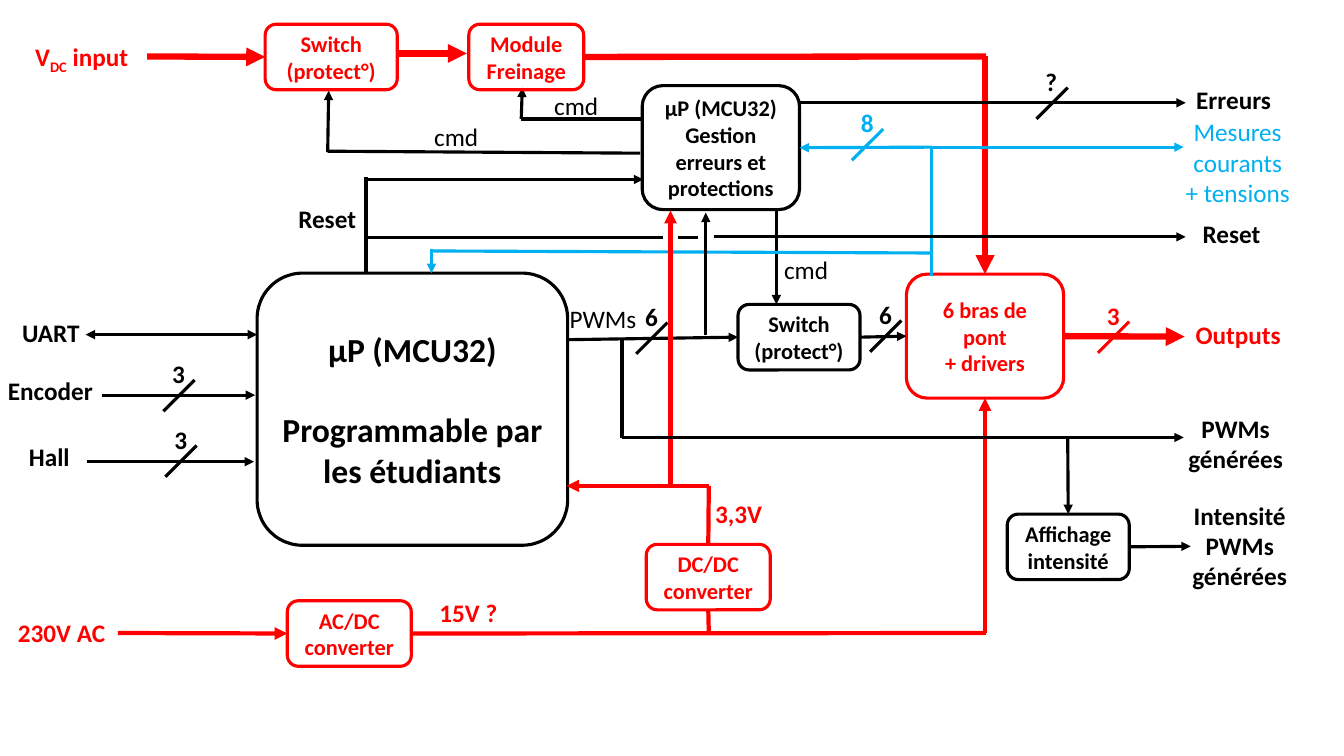
from dataclasses import dataclass
from typing import Any

from lxml import etree
from pptx import Presentation
from pptx.dml.color import RGBColor
from pptx.enum.shapes import MSO_CONNECTOR, MSO_SHAPE
from pptx.enum.text import MSO_ANCHOR, PP_ALIGN
from pptx.oxml.ns import qn
from pptx.util import Inches, Pt

ROUND = MSO_SHAPE.ROUNDED_RECTANGLE
LINE = MSO_CONNECTOR.STRAIGHT
LEFT, MID = PP_ALIGN.LEFT, PP_ALIGN.CENTER
CENTER = MSO_ANCHOR.MIDDLE
COLORS = {"black": "000000", "red": "FF0000", "blue": "00B0F0"}
THIN, MEDIUM, THICK = 2.25, 3, 4.5
SIDE_T, SIDE_L, SIDE_B, SIDE_R = range(4)
CHIP = "µP (MCU32)"


def tone(name):
    return RGBColor.from_string(COLORS[name])


def write(frame, lines, size, color, bold, align, gap=0):
    frame.word_wrap = True
    frame.text = "\n".join(lines)
    for para in frame.paragraphs:
        para.alignment = align
        font = para.font
        font.name, font.size, font.bold = "Calibri", Pt(size), bold
        font.color.rgb = tone(color)
    if gap:
        frame.paragraphs[0].space_after = Pt(gap)


@dataclass
class Area:
    slide: Any
    x: float
    y: float

    def place(self, x, y):
        return Inches(self.x + x), Inches(self.y + y)

    def block(self, x, y, w, h, *lines, color="black", size=16, gap=0):
        box = self.slide.shapes.add_shape(
            ROUND, *self.place(x, y), Inches(w), Inches(h))
        box.shadow.inherit = False
        box.fill.background()
        box.line.color.rgb = tone(color)
        box.line.width = Pt(THIN)
        write(box.text_frame, lines, size, color, True, MID, gap)
        box.text_frame.vertical_anchor = CENTER
        return box

    def label(self, x, y, w, text, color="black", bold=True, align=MID, h=0.4):
        box = self.slide.shapes.add_textbox(
            *self.place(x, y), Inches(w), Inches(h))
        write(box.text_frame, [text], 18, color, bold, align)
        return box

    def wire(self, x1, y1, x2, y2, color="black", width=THIN,
             ends=("tailEnd",), start=None, stop=None):
        link = self.slide.shapes.add_connector(
            LINE, *self.place(x1, y1), *self.place(x2, y2))
        if start:
            link.begin_connect(*start)
        if stop:
            link.end_connect(*stop)
        link.line.color.rgb = tone(color)
        link.line.width = Pt(width)
        for end in ends:
            etree.SubElement(link.line._get_or_add_ln(), qn("a:" + end),
                             type="triangle")
        etree.SubElement(link._element.spPr, qn("a:effectLst"))

    def count(self, x, y, text, color="black"):
        self.wire(x + 0.31, y, x, y + 0.31, color, ends=())
        self.label(x - 0.01, y - 0.26, 0.31, text, color)


def core(area):
    guard = area.block(3.82, 0, 1.56, 1.23, CHIP,
                       "Gestion erreurs et protections")
    area.block(0, 1.86, 3.08, 2.7, CHIP,
               "Programmable par les étudiants", size=24, gap=29)
    area.wire(3.82, 0.33, 2.62, 0.33, ends=())
    area.wire(2.62, 0.33, 2.63, 0.02)
    area.wire(3.8, 0.67, 0.7, 0.65, ends=())
    area.wire(0.7, 0.66, 0.71, 0.05)
    area.wire(1.08, 0.93, 3.83, 0.93)
    area.wire(1.08, 0.91, 1.08, 1.87, ends=())
    area.label(0.27, 1.12, 0.85, "Reset")
    for x, y in ((2.71, 0), (1.52, 0.3), (4.99, 1.62)):
        area.label(x, y, 0.91, "cmd", bold=False)
    return guard


def drive(area):
    gate = area.block(1.77, 0.3, 1.21, 0.65, "Switch", "(protect°)")
    bridge = area.block(3.44, 0, 1.56, 1.23, "6 bras de pont", "+ drivers",
                        color="red")
    area.wire(0.09, 0.65, 1.77, 0.62, stop=(gate, SIDE_L))
    area.wire(2.15, -0.63, 2.15, 0.3)
    area.wire(2.98, 0.62, 3.44, 0.62, start=(gate, SIDE_R),
              stop=(bridge, SIDE_L))
    area.wire(5, 0.62, 6.2, 0.62, "red", THICK, start=(bridge, SIDE_R))
    area.label(0, 0.24, 0.91, "PWMs", bold=False, align=LEFT)
    area.count(0.76, 0.48, "6")
    area.count(3.08, 0.46, "6")
    area.count(5.34, 0.47, "3", "red")
    area.label(6.21, 0.4, 1.21, "Outputs", "red", align=LEFT)
    return bridge


def power(area, bridge):
    name = area.label(0, 0.12, 1.21, "V", "red", align=LEFT, h=0.44)
    para = name.text_frame.paragraphs[0]
    low = para.add_run()
    low.text = "DC"
    low._r.get_or_add_rPr().set("baseline", "-25000")
    para.add_run().text = " input"
    switch = area.block(2.38, 0, 1.31, 0.65, "Switch", "(protect°)",
                        color="red")
    brake = area.block(4.4, 0, 1.14, 0.65, "Module Freinage", color="red")
    area.wire(1.21, 0.32, 2.38, 0.32, "red", THICK, stop=(switch, SIDE_L))
    area.wire(3.69, 0.29, 4.38, 0.29, "red", THICK)
    area.wire(5.54, 0.32, 9.53, 0.32, "red", THICK, (),
              start=(brake, SIDE_R))
    area.wire(9.52, 0.32, 9.52, 2.48, "red", THICK, stop=(bridge, SIDE_T))


def sense(area, guard):
    area.wire(4.96, 1.72, 4.96, 0.44, "blue", ends=())
    area.wire(4.96, 0.44, 3.65, 0.44, "blue", stop=(guard, SIDE_R))
    area.wire(4.94, 0.44, 7.46, 0.44, "blue")
    area.wire(0, 1.47, 4.96, 1.49, "blue", ends=())
    area.wire(0, 1.45, 0, 1.69, "blue")
    area.count(4.17, 0.26, "8", "blue")
    area.label(7.37, 0.09, 1.25, "Mesures courants + tensions", "blue",
               bold=False, h=1)


def supply(area, bridge):
    mains = area.block(2.77, 1.14, 1.23, 0.65, "AC/DC converter", color="red")
    step = area.block(6.33, 0.58, 1.23, 0.65, "DC/DC converter", color="red")
    area.wire(1.09, 1.46, 2.77, 1.46, "red", MEDIUM, stop=(mains, SIDE_L))
    area.wire(4, 1.46, 9.7, 1.46, "red", MEDIUM, (), start=(mains, SIDE_R))
    area.wire(9.69, 1.46, 9.69, -0.87, "red", MEDIUM, stop=(bridge, SIDE_B))
    area.wire(6.95, 1.46, 6.95, 1.23, "red", MEDIUM, (), stop=(step, SIDE_B))
    area.wire(6.95, 0, 6.95, 0.58, "red", MEDIUM, (), stop=(step, SIDE_T))
    area.wire(6.95, 0, 5.54, 0, "red", MEDIUM)
    area.wire(6.57, 0, 6.57, -2.73, "red", MEDIUM)
    area.label(0, 1.26, 1.21, "230V AC", "red", align=LEFT)
    area.label(3.96, 1.06, 1.21, "15V ?", "red")
    area.label(6.64, 0.07, 1.21, "3,3V", "red")


def inputs(area):
    area.wire(0.85, 0.32, 2.55, 0.32, ends=("headEnd", "tailEnd"))
    area.wire(1.01, 0.92, 2.53, 0.92)
    area.wire(0.86, 1.58, 2.52, 1.58)
    area.count(1.62, 0.77, "3")
    area.count(1.64, 1.42, "3")
    area.label(0.08, 0.1, 0.85, "UART")
    area.label(-0.03, 0.67, 1.06, "Encoder")
    area.label(-0.04, 1.33, 1.06, "Hall")


def outputs(area):
    area.wire(4.31, 0.23, 8.14, 0.23)
    area.count(6.66, 0.08, "?")
    area.label(8.02, 0, 1.19, "Erreurs")
    area.wire(2.96, 1.57, 0, 1.57, ends=())
    area.wire(3.1, 1.57, 3.3, 1.57, ends=())
    area.wire(3.46, 1.56, 8.14, 1.56)
    area.label(8.17, 1.33, 0.85, "Reset")
    area.wire(3.38, 2.53, 3.38, 1.32)
    area.wire(2.55, 3.56, 2.55, 2.57, ends=())
    area.wire(2.55, 3.55, 8.12, 3.55)
    area.label(8.04, 3.26, 1.19, "PWMs générées", h=0.7)
    meter = area.block(6.37, 4.31, 1.21, 0.65, "Affichage intensité")
    area.wire(6.97, 3.56, 6.97, 4.31, stop=(meter, SIDE_T))
    area.wire(7.58, 4.63, 8.19, 4.63, start=(meter, SIDE_R))
    area.label(8.08, 4.12, 1.19, "Intensité PWMs générées", h=1)


def main():
    deck = Presentation()
    deck.slide_width, deck.slide_height = Inches(13.33), Inches(7.5)
    slide = deck.slides.add_slide(deck.slide_layouts[6])
    guard = core(Area(slide, 2.55, 0.85))
    bridge = drive(Area(slide, 5.55, 2.72))
    power(Area(slide, 0.25, 0.24), bridge)
    sense(Area(slide, 4.28, 1.02), guard)
    supply(Area(slide, 0.08, 4.82), bridge)
    inputs(Area(slide, 0, 3))
    outputs(Area(slide, 3.62, 0.79))
    deck.save("out.pptx")


if __name__ == "__main__":
    main()
